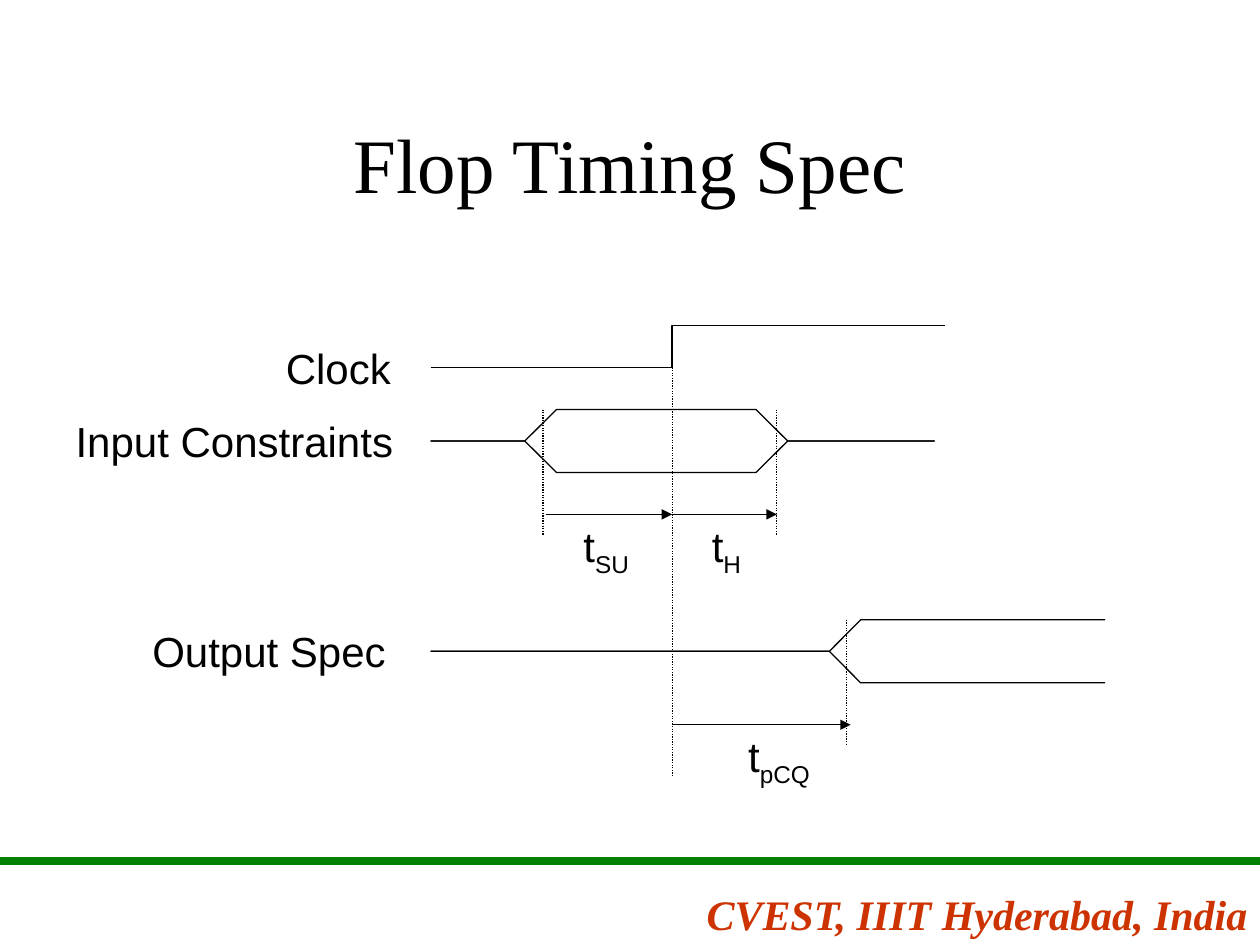
from lxml import etree
from pptx import Presentation
from pptx.dml.color import RGBColor
from pptx.enum.dml import MSO_LINE
from pptx.enum.shapes import MSO_CONNECTOR
from pptx.enum.text import MSO_ANCHOR, MSO_AUTO_SIZE, PP_ALIGN
from pptx.oxml.ns import qn
from pptx.util import Cm, Pt

BLACK = RGBColor(0x00, 0x00, 0x00)
GREEN = RGBColor(0x00, 0x80, 0x00)
RED = RGBColor(0xCC, 0x33, 0x00)
SERIF, SANS = "Times New Roman", "Arial"
CENTER, RIGHT = PP_ALIGN.CENTER, PP_ALIGN.RIGHT
MIDDLE = MSO_ANCHOR.MIDDLE
NO_FIT, GROW = MSO_AUTO_SIZE.NONE, MSO_AUTO_SIZE.SHAPE_TO_FIT_TEXT
STRAIGHT = MSO_CONNECTOR.STRAIGHT
DOTS = MSO_LINE.ROUND_DOT  # written as sysDot

# Shared positions in cm
LEFT = 8.68    # start of every signal
EDGE = 13.55   # rising clock edge
SETUP, HOLD, VALID = 10.95, 15.66, 17.07
IN_MID, OUT_MID = 8.89, 13.13
SWING = 0.635  # half the height of a data eye


def write(frame, text, sub="", size=24, face=SANS, color=BLACK,
          align=CENTER, bold=False, italic=False):
    """Fill a frame with one paragraph and an optional subscript."""
    para = frame.paragraphs[0]
    para.alignment = align
    for part in filter(None, (text, sub)):
        run = para.add_run()
        run.text = part
        font = run.font
        font.name, font.size = face, Pt(size)
        font.bold, font.italic = bold, italic
        font.color.rgb = color
    if sub:
        run._r.get_or_add_rPr().set("baseline", "-25000")


def label(slide, x, y, w, h, text, wrap=False, **style):
    box = slide.shapes.add_textbox(Cm(x), Cm(y), Cm(w), Cm(h))
    frame = box.text_frame
    frame.word_wrap = wrap
    frame.auto_size = GROW
    write(frame, text, **style)


def line(slide, x1, y1, x2, y2, color=BLACK, width=0.75, dash=None, arrow=False):
    link = slide.shapes.add_connector(STRAIGHT, Cm(x1), Cm(y1), Cm(x2), Cm(y2))
    link.line.color.rgb = color
    link.line.width = Pt(width)
    if dash:
        link.line.dash_style = dash
    if arrow:
        etree.SubElement(link.line._get_or_add_ln(), qn("a:tailEnd"), type="triangle")
    etree.SubElement(link._element.spPr, qn("a:effectLst"))


def wave(slide, points):
    """Draw an open signal trace through the points."""
    start, *rest = [(Cm(x), Cm(y)) for x, y in points]
    path = slide.shapes.build_freeform(*start)
    path.add_line_segments(rest, close=False)
    trace = path.convert_to_shape()
    trace.shadow.inherit = False
    trace.fill.background()
    trace.line.color.rgb = BLACK
    trace.line.width = Pt(0.75)


def eye(slide, mid, steps):
    """Draw a data signal as two traces mirrored about its middle."""
    for side in (-1, 1):
        wave(slide, [(x, mid + side * SWING * level) for x, level in steps])


def main():
    deck = Presentation()
    deck.slide_width, deck.slide_height = Cm(25.4), Cm(19.05)
    slide = deck.slides.add_slide(deck.slide_layouts[5])

    # Title
    title = slide.shapes.title
    title.left, title.top, title.width, title.height = map(Cm, (1.9, 1.69, 21.6, 3.18))
    title.text_frame.vertical_anchor = MIDDLE
    title.text_frame.auto_size = NO_FIT
    write(title.text_frame, "Flop Timing Spec", size=44, face=SERIF)

    # Signals
    wave(slide, [(LEFT, 7.41), (EDGE, 7.41), (EDGE, 6.56), (19.05, 6.56)])
    eye(slide, IN_MID, [(LEFT, 0), (10.58, 0), (11.22, 1), (15.24, 1),
                        (15.88, 0), (18.84, 0)])
    eye(slide, OUT_MID, [(LEFT, 0), (16.72, 0), (17.35, 1), (22.28, 1)])

    # Dotted guides
    line(slide, EDGE, 6.99, EDGE, 15.66, dash=DOTS)
    for x, mid in ((SETUP, IN_MID), (HOLD, IN_MID), (VALID, OUT_MID)):
        line(slide, x, mid - SWING, x, mid - SWING + 2.54, dash=DOTS)

    # Time spans
    for x1, x2, y in ((11, EDGE, 10.37), (EDGE, HOLD, 10.37), (EDGE, 17.15, 14.61)):
        line(slide, x1, y, x2, y, arrow=True)
    for x, y, w, sub in ((11.51, 10.37, 1.42, "SU"), (14.1, 10.37, 1.09, "H"),
                         (14.83, 14.61, 1.75, "pCQ")):
        label(slide, x, y, w, 1.42, "t", sub=sub)

    # Signal names
    for x, y, w, name in ((5.51, 6.77, 2.62, "Clock"),
                          (1.27, 8.26, 6.91, "Input Constraints"),
                          (2.82, 12.49, 5.21, "Output Spec")):
        label(slide, x, y, w, 1.27, name)

    # Footer
    line(slide, 0, 17.36, 25.4, 17.36, color=GREEN, width=4.5)
    label(slide, 9.1, 17.78, 16.3, 1.27, "CVEST, IIIT Hyderabad, India", wrap=True,
          face=SERIF, color=RED, align=RIGHT, bold=True, italic=True)

    deck.save("out.pptx")


if __name__ == "__main__":
    main()
